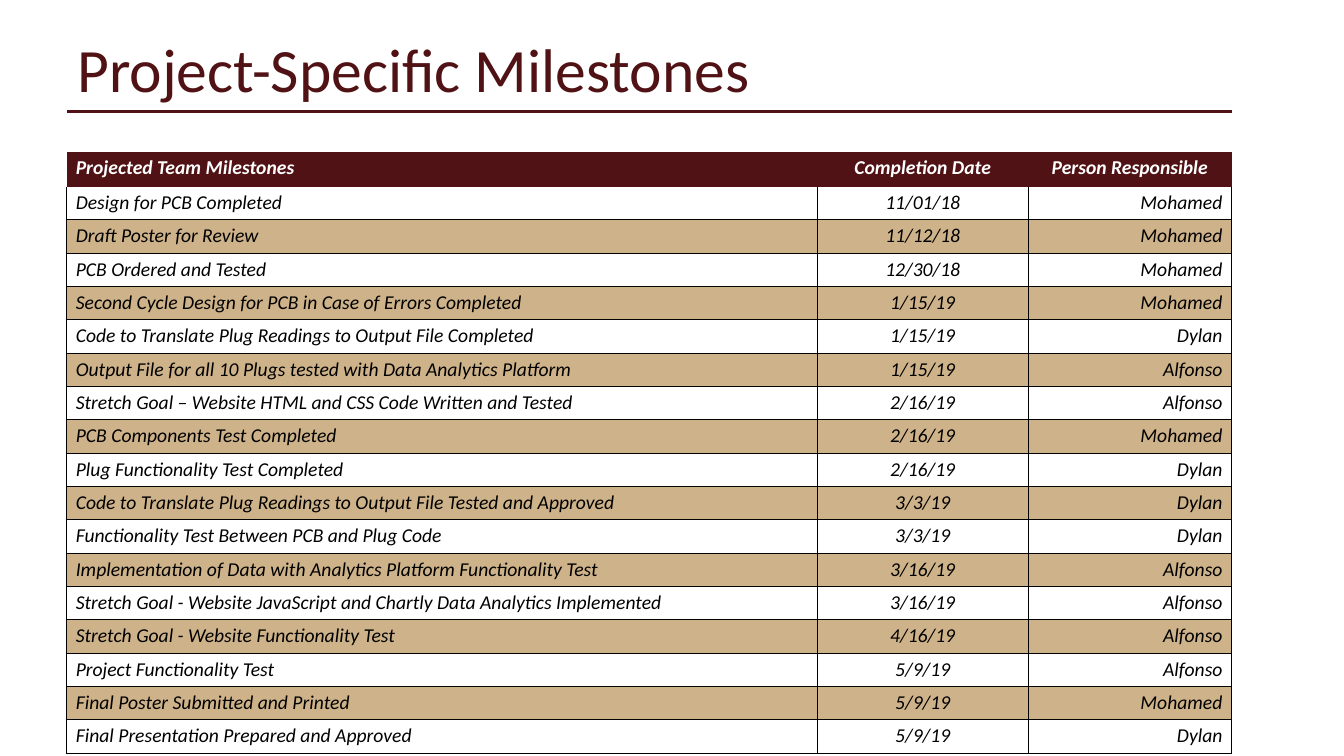
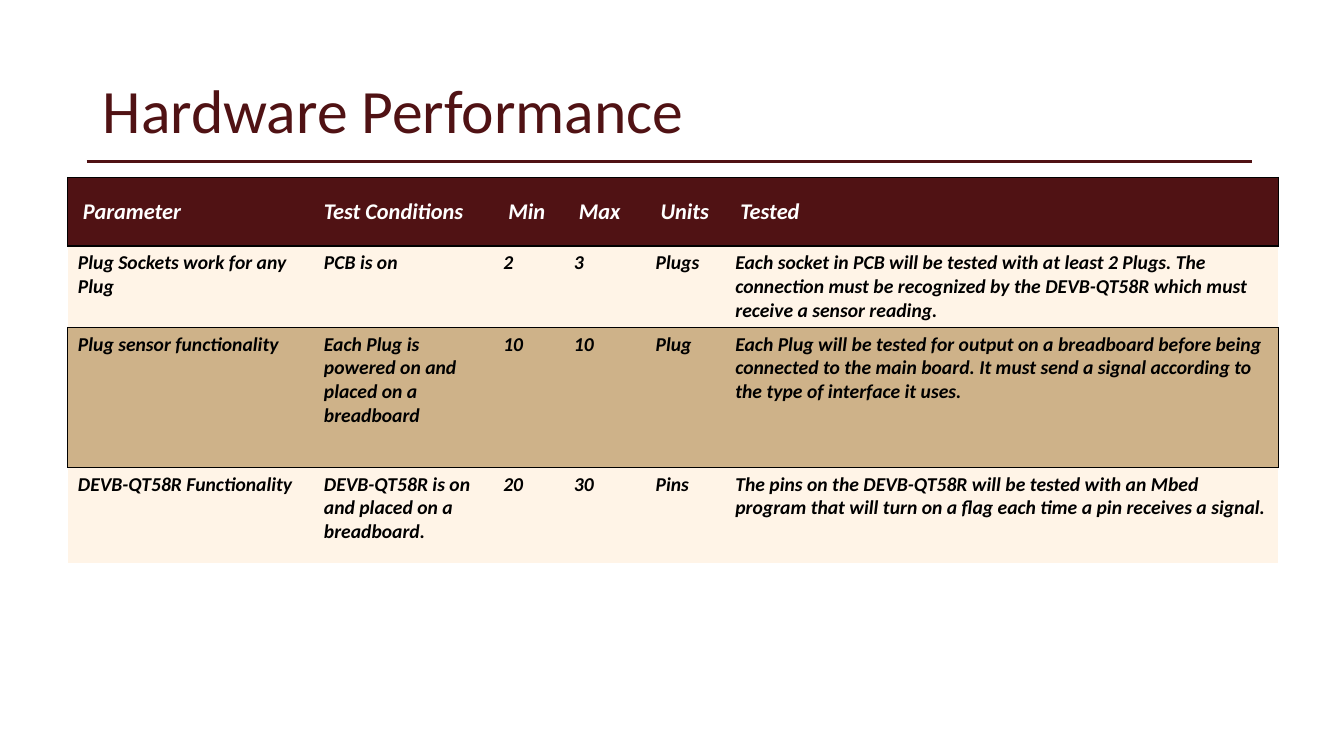
from lxml import etree
from pptx import Presentation
from pptx.dml.color import RGBColor
from pptx.enum import shapes, text
from pptx.oxml import ns
from pptx.util import Cm, Pt

FONT = "Calibri"
HUES = {"maroon": "501214", "tan": "CEB289", "cream": "FFF4E7",
        "white": "FFFFFF", "black": "000000"}
LEFT, MID, RIGHT = (text.PP_ALIGN.LEFT, text.PP_ALIGN.CENTER,
                    text.PP_ALIGN.RIGHT)
PLAIN = "{2D5ABB26-0587-4C30-8999-92F81FD0307C}"

GOALS = [
    ("Projected Team Milestones", "Completion Date", "Person Responsible"),
    ("Design for PCB Completed", "11/01/18", "Mohamed"),
    ("Draft Poster for Review", "11/12/18", "Mohamed"),
    ("PCB Ordered and Tested", "12/30/18", "Mohamed"),
    ("Second Cycle Design for PCB in Case of Errors Completed", "1/15/19", "Mohamed"),
    ("Code to Translate Plug Readings to Output File Completed", "1/15/19", "Dylan"),
    ("Output File for all 10 Plugs tested with Data Analytics Platform", "1/15/19", "Alfonso"),
    ("Stretch Goal – Website HTML and CSS Code Written and Tested", "2/16/19", "Alfonso"),
    ("PCB Components Test Completed", "2/16/19", "Mohamed"),
    ("Plug Functionality Test Completed", "2/16/19", "Dylan"),
    ("Code to Translate Plug Readings to Output File Tested and Approved", "3/3/19", "Dylan"),
    ("Functionality Test Between PCB and Plug Code", "3/3/19", "Dylan"),
    ("Implementation of Data with Analytics Platform Functionality Test", "3/16/19", "Alfonso"),
    ("Stretch Goal - Website JavaScript and Chartly Data Analytics Implemented", "3/16/19", "Alfonso"),
    ("Stretch Goal - Website Functionality Test", "4/16/19", "Alfonso"),
    ("Project Functionality Test", "5/9/19", "Alfonso"),
    ("Final Poster Submitted and Printed", "5/9/19", "Mohamed"),
    ("Final Presentation Prepared and Approved", "5/9/19", "Dylan"),
]
TESTS = [
    ("Parameter", "Test Conditions", "Min", "Max", "Units", "Tested"),
    ("Plug Sockets work for any Plug", "PCB is on", "2", "3", "Plugs",
     "Each socket in PCB will be tested with at least 2 Plugs. The connection "
     "must be recognized by the DEVB-QT58R which must receive a sensor reading."),
    ("Plug sensor functionality",
     "Each Plug is powered on and placed on a breadboard", "10", "10", "Plug",
     "Each Plug will be tested for output on a breadboard before being connected "
     "to the main board. It must send a signal according to the type of interface "
     "it uses."),
    ("DEVB-QT58R Functionality", "DEVB-QT58R is on and placed on a breadboard.",
     "20", "30", "Pins",
     "The pins on the DEVB-QT58R will be tested with an Mbed program that will "
     "turn on a flag each time a pin receives a signal."),
]


def tint(hue):
    return RGBColor.from_string(HUES[hue])


def style(para, size, hue, bold=False, slant=False):
    font = para.font
    font.name, font.size, font.bold, font.italic = FONT, Pt(size), bold, slant
    font.color.rgb = tint(hue)


def add_head(deck, words, left, top, rule):
    slide = deck.slides.add_slide(deck.slide_layouts[6])
    frame = slide.shapes.add_textbox(Cm(left), Cm(top), Cm(29.3), Cm(3.68)).text_frame
    frame.word_wrap = True
    frame.vertical_anchor = text.MSO_ANCHOR.MIDDLE
    para = frame.paragraphs[0]
    para.text = words
    para.line_spacing = 0.9
    style(para, 44, "maroon")
    start, y = rule
    line = slide.shapes.add_connector(shapes.MSO_CONNECTOR.STRAIGHT, Cm(start), Cm(y),
                                      Cm(start + 29.36), Cm(y))
    line.line.color.rgb = tint("maroon")
    line.line.width = Pt(2.25)
    etree.SubElement(line._element.spPr, ns.qn("a:effectLst"))
    return slide


def add_edges(cell, sides):
    props = cell._tc.get_or_add_tcPr()
    for side in "LRTB":
        edge = etree.SubElement(props, ns.qn("a:ln" + side), w=str(Pt(1)))
        if side in sides:
            fill = etree.SubElement(edge, ns.qn("a:solidFill"))
            etree.SubElement(fill, ns.qn("a:srgbClr"), val=HUES["black"])
        else:
            etree.SubElement(edge, ns.qn("a:noFill"))


def add_grid(slide, rows, left, top, cols, highs):
    grid = slide.shapes.add_table(len(rows), len(cols), Cm(left), Cm(top),
                                  Cm(sum(cols)), Cm(sum(highs))).table
    grid._tbl.tblPr.find(ns.qn("a:tableStyleId")).text = PLAIN
    grid.horz_banding = False
    for col, wide in zip(grid.columns, cols):
        col.width = Cm(wide)
    for row, high in zip(grid.rows, highs):
        row.height = Cm(high)
    for r, row in enumerate(rows):
        for c, words in enumerate(row):
            cell = grid.cell(r, c)
            cell.text = words
            yield r, c, cell, cell.text_frame.paragraphs[0]


def paint(cell, row, light):
    hue = "maroon" if row == 0 else light if row % 2 else "tan"
    cell.fill.solid()
    cell.fill.fore_color.rgb = tint(hue)


def add_goals(deck):
    slide = add_head(deck, "Project-Specific Milestones", 1.7, 0, (1.69, 2.82))
    highs = [0.88] + [0.84] * (len(GOALS) - 1)
    for r, c, cell, para in add_grid(slide, GOALS, 1.68, 3.82, (18.92, 5.31, 5.13), highs):
        cell.margin_left = cell.margin_right = Cm(0.23)
        cell.margin_top = cell.margin_bottom = Cm(0.11)
        para.alignment = (LEFT, MID, RIGHT if r else MID)[c]
        style(para, 14, "black" if r else "white", r == 0, True)
        add_edges(cell, ("", "LRB")[r] if r < 2 else "LRTB")
        paint(cell, r, "white")


def add_tests(deck):
    slide = add_head(deck, "Hardware Performance", 2.34, 1.02, (2.18, 4.06))
    cols = (6.2, 4.52, 1.78, 2.06, 2.01, 13.94)
    for r, c, cell, para in add_grid(slide, TESTS, 1.71, 4.47, cols, (1.73, 2.05, 3.53, 2.4)):
        head = r == 0
        if head:
            cell.vertical_anchor = text.MSO_ANCHOR.MIDDLE
            cell.margin_left = Cm(0.25 if c == 1 else 0.38)
        style(para, 16 if head else 14, "white" if head else "black", True, True)
        ends = ("L" if c == 0 else "") + ("R" if c == len(cols) - 1 else "")
        add_edges(cell, ("TB" + ends, "TB", "TB" + ends, "T")[r])
        paint(cell, r, "cream")


def main():
    deck = Presentation()
    deck.slide_width, deck.slide_height = Cm(33.87), Cm(19.05)
    add_goals(deck)
    add_tests(deck)
    deck.save("out.pptx")


if __name__ == "__main__":
    main()
